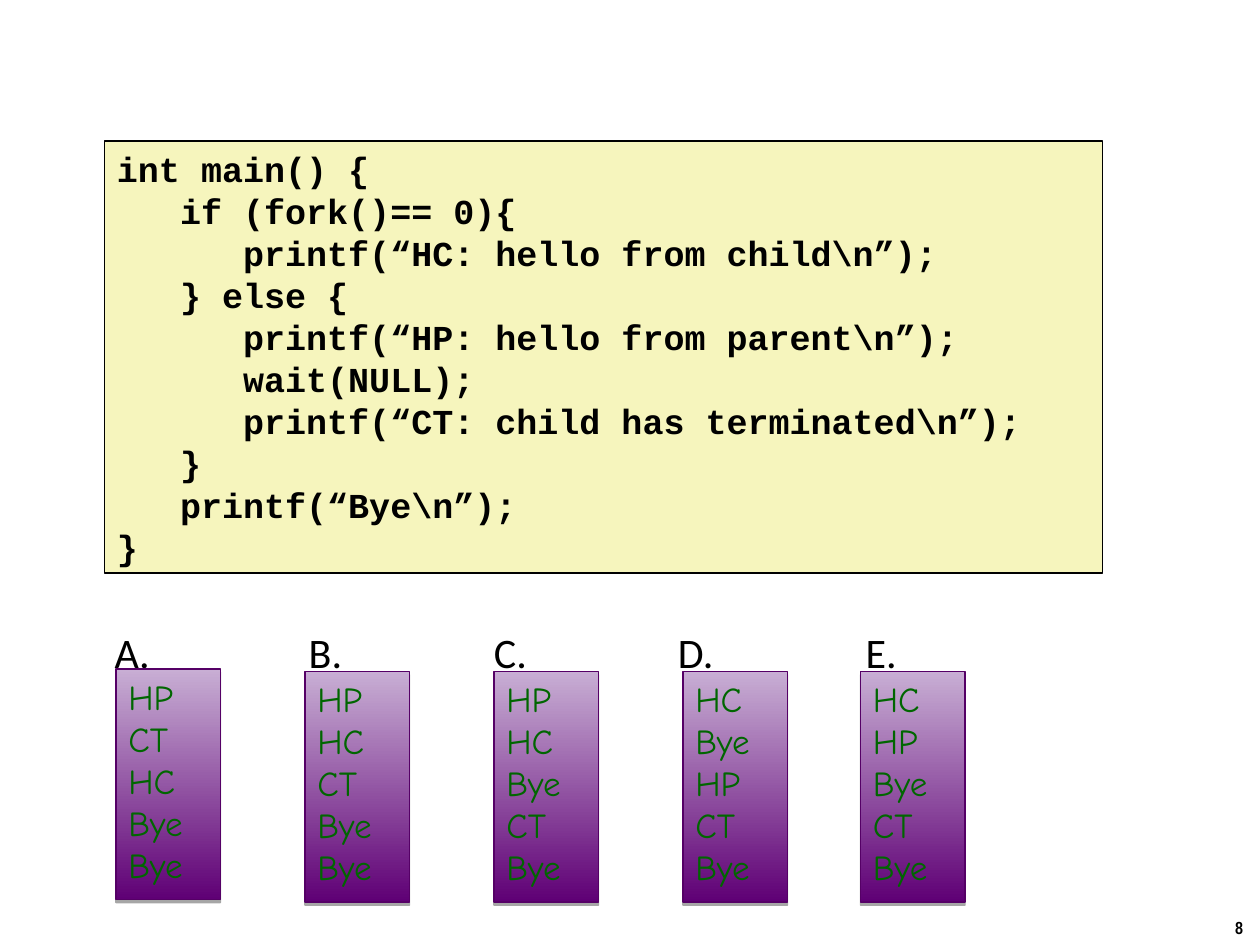
import dataclasses

import lxml.etree
import pptx
import pptx.dml.color
import pptx.enum.shapes
import pptx.enum.text
import pptx.oxml.ns
import pptx.util

Inches = pptx.util.Inches
Pt = pptx.util.Pt
qn = pptx.oxml.ns.qn


@dataclasses.dataclass
class Style:
    font: str
    size: float
    color: str
    bold: bool = False


@dataclasses.dataclass
class Option:
    left: float
    top: float
    lines: list[str]


CODE_STYLE = Style("Courier New", 20, "000000", True)
LABEL_STYLE = Style("Calibri", 24, "000000")
OPTION_STYLE = Style("Comic Neue", 20, "006600")
NUMBER_STYLE = Style("Arial Narrow", 10, "000000", True)

CODE = [
    "int main() {",
    "   if (fork()== 0){",
    "      printf(“HC: hello from child\\n”);",
    "   } else {",
    "      printf(“HP: hello from parent\\n”);",
    "      wait(NULL);",
    "      printf(“CT: child has terminated\\n”);",
    "   }",
    "   printf(“Bye\\n”);",
    "}",
]
OPTIONS = [
    Option(0.92, 5.31, ["HP", "CT", "HC", "Bye", "Bye"]),
    Option(2.42, 5.33, ["HP", "HC", "CT", "Bye", "Bye"]),
    Option(3.92, 5.33, ["HP", "HC", "Bye", "CT", "Bye"]),
    Option(5.42, 5.33, ["HC", "Bye", "HP", "CT", "Bye"]),
    Option(6.83, 5.33, ["HC", "HP", "Bye", "CT", "Bye"]),
]
LABEL_TABS = [1.54, 3.01, 4.47, 5.96]


def rgb(color: str) -> pptx.dml.color.RGBColor:
    return pptx.dml.color.RGBColor.from_string(color)


def write(sp, lines: list[str], style: Style, align=pptx.enum.text.PP_ALIGN.LEFT, wrap=True):
    """Fill a shape with one paragraph per line, from the top."""
    tf = sp.text_frame
    tf.word_wrap = wrap
    tf.vertical_anchor = pptx.enum.text.MSO_ANCHOR.TOP
    for i, line in enumerate(lines):
        p = tf.paragraphs[0] if i == 0 else tf.add_paragraph()
        p.alignment = align
        r = p.add_run()
        r.text = line
        r.font.name = style.font
        r.font.size = Pt(style.size)
        r.font.bold = style.bold
        r.font.color.rgb = rgb(style.color)
    return tf


def add_box(s, left: float, top: float, width: float, height: float, line: str, weight: float):
    sp = s.shapes.add_shape(
        pptx.enum.shapes.MSO_SHAPE.RECTANGLE,
        Inches(left), Inches(top), Inches(width), Inches(height),
    )
    sp.shadow.inherit = False
    sp.line.color.rgb = rgb(line)
    sp.line.width = Pt(weight)
    return sp


def add_shadow(sp, color: str, opacity: int, distance: float) -> None:
    """Cast a sharp shadow straight down."""
    effects = sp._element.spPr.find(qn("a:effectLst"))
    shadow = lxml.etree.SubElement(
        effects, qn("a:outerShdw"), blurRad="0", dist=str(Pt(distance)),
        dir="5400000", rotWithShape="0",
    )
    clr = lxml.etree.SubElement(shadow, qn("a:srgbClr"), val=color)
    lxml.etree.SubElement(clr, qn("a:alpha"), val=str(opacity * 1000))


def add_tabs(p, stops: list[float]) -> None:
    tabs = lxml.etree.SubElement(p._p.get_or_add_pPr(), qn("a:tabLst"))
    for stop in stops:
        lxml.etree.SubElement(tabs, qn("a:tab"), pos=str(Inches(stop)), algn="l")


def add_option(s, option: Option) -> None:
    sp = add_box(s, option.left, option.top, 0.83, 1.83, "550066", 0.75)
    sp.fill.gradient()
    sp.fill.gradient_angle = 90
    for stop, position, color in zip(sp.fill.gradient_stops, (0, 1), ("5F0075", "C8AED4")):
        stop.position = position
        stop.color.rgb = rgb(color)
    add_shadow(sp, "000000", 35, 1.8)
    write(sp, option.lines, OPTION_STYLE)


def main() -> None:
    prs = pptx.Presentation()
    prs.slide_width, prs.slide_height = Inches(10), Inches(7.5)
    s = prs.slides.add_slide(prs.slide_layouts[6])

    # Page number
    number = s.shapes.add_textbox(Inches(9.46), Inches(7.23), Inches(0.75), Inches(0.27))
    write(number, ["8"], NUMBER_STYLE, pptx.enum.text.PP_ALIGN.CENTER, wrap=False)

    # Answer letters on one tabbed line
    labels = s.shapes.add_textbox(Inches(0.87), Inches(4.93), Inches(8.72), Inches(0.49))
    tf = write(labels, ["A.\tB.\tC.\tD.\tE."], LABEL_STYLE)
    tf.margin_left = tf.margin_right = tf.margin_top = tf.margin_bottom = Inches(0.04)
    add_tabs(tf.paragraphs[0], LABEL_TABS)

    # Program listing
    code = add_box(s, 0.83, 1.12, 7.92, 3.43, "000000", 1)
    code.fill.solid()
    code.fill.fore_color.rgb = rgb("F6F5BD")
    write(code, CODE, CODE_STYLE)

    # Possible outputs
    for option in OPTIONS:
        add_option(s, option)

    prs.save("out.pptx")


if __name__ == "__main__":
    main()
